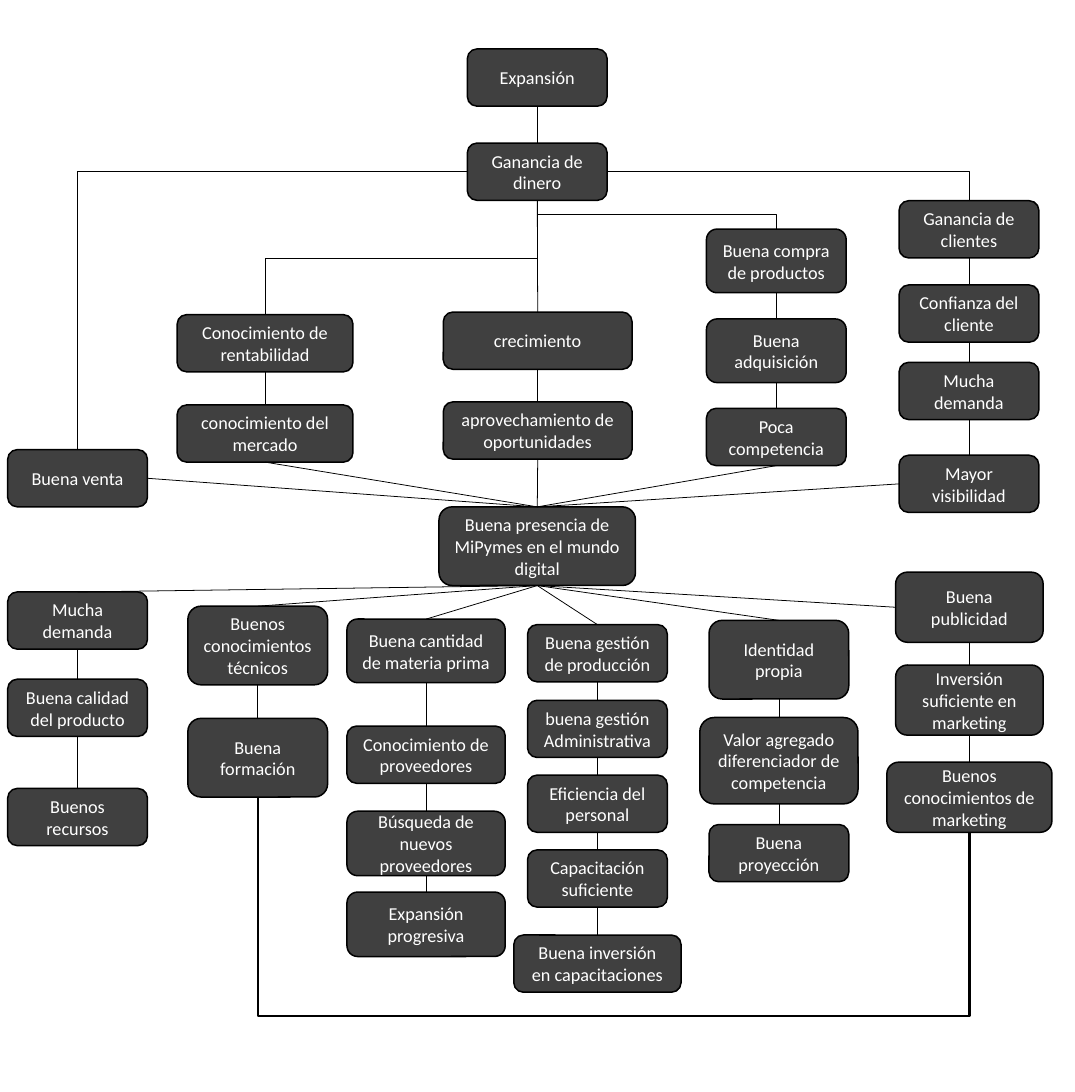
from dataclasses import dataclass

from lxml import etree
from pptx import Presentation
from pptx.dml.color import RGBColor
from pptx.enum.shapes import MSO_CONNECTOR, MSO_SHAPE
from pptx.enum.text import MSO_ANCHOR, PP_ALIGN
from pptx.oxml.ns import qn
from pptx.util import Cm, Pt

ROUND = MSO_SHAPE.ROUNDED_RECTANGLE
LINE, ELBOW = MSO_CONNECTOR.STRAIGHT, MSO_CONNECTOR.ELBOW
MIDDLE, CENTER = MSO_ANCHOR.MIDDLE, PP_ALIGN.CENTER
TOP, LEFT, BOTTOM, RIGHT = range(4)


@dataclass(frozen=True)
class Theme:
    fill: RGBColor = RGBColor(0x40, 0x40, 0x40)
    line: RGBColor = RGBColor(0, 0, 0)
    text: RGBColor = RGBColor(255, 255, 255)
    font: str = "Calibri"
    size: Pt = Pt(12)
    edge: Pt = Pt(1)
    thin: Pt = Pt(0.5)
    thick: Pt = Pt(1.5)


THEME = Theme()


def add_node(slide, box, text):
    node = slide.shapes.add_shape(ROUND, *map(Cm, box))
    node.shadow.inherit = False
    node.fill.solid()
    node.fill.fore_color.rgb = THEME.fill
    node.line.color.rgb = THEME.line
    node.line.width = THEME.edge
    frame = node.text_frame
    frame.word_wrap = True
    frame.vertical_anchor = MIDDLE
    para = frame.paragraphs[0]
    para.text = text
    para.alignment = CENTER
    para.font.name = THEME.font
    para.font.size = THEME.size
    para.font.color.rgb = THEME.text
    return node


def add_link(slide, start, end, kind=LINE, width=THEME.thin):
    link = slide.shapes.add_connector(kind, 0, 0, 0, 0)
    link.begin_connect(*start)
    link.end_connect(*end)
    link.line.color.rgb = THEME.line
    link.line.width = width
    etree.SubElement(link._element.spPr, qn("a:effectLst"))
    return link


def add_corner(slide, start, end):
    link = add_link(slide, start, end, ELBOW)
    link._element.spPr.find(qn("a:prstGeom")).set("prst", "bentConnector2")


def add_step(slide, start, end, bend, width=THEME.thin):
    link = add_link(slide, start, end, ELBOW, width)
    x1, y1, x2, y2 = link.begin_x, link.begin_y, link.end_x, link.end_y
    wide, high = abs(y2 - y1), abs(x2 - x1)
    link.left, link.top = (x1 + x2 - wide) // 2, (y1 + y2 - high) // 2
    link.width, link.height = wide, high
    props = link._element.spPr
    frame = props.find(qn("a:xfrm"))
    frame.attrib.pop("flipH", None)
    frame.set("rot", "5400000")
    frame.set("flipV", "1" if x2 > x1 else "0")
    guides = props.find(qn("a:prstGeom")).get_or_add_avLst()
    ratio = round(Cm(bend) / wide * 100000)
    etree.SubElement(guides, qn("a:gd"), name="adj1", fmla=f"val {ratio}")


def add_stack(slide, box, rows):
    left, top, width, height = box
    nodes = []
    for text, gap, *size in rows:
        high, wide = (*size, *(height, width)[len(size):])
        top += gap
        node = add_node(slide, (left + (width - wide) / 2, top, wide, high), text)
        if nodes:
            add_link(slide, (nodes[-1], BOTTOM), (node, TOP))
        nodes.append(node)
        top += high
    return nodes


def add_effects(slide, box, hub):
    left, top, width, height = box
    mid = left + width / 2

    def stack(x, y, wide, rows, high=1.33):
        return add_stack(slide, (left + x, top + y, wide, high), rows)

    goal = stack(mid - left - 1.63, 0, 3.25, [
        ("Expansión", 0), ("Ganancia de dinero", 0.86)])[-1]
    sale = stack(0, 9.32, 3.25, [("Buena venta", 0)])
    market = stack(3.94, 6.18, 4.09, [
        ("Conocimiento de rentabilidad", 0), ("conocimiento del mercado", 0.77)])
    growth = stack(10.13, 6.12, 4.39, [
        ("crecimiento", 0), ("aprovechamiento de oportunidades", 0.76)])
    buying = stack(16.25, 4.19, 3.25, [
        ("Buena compra de productos", 0), ("Buena adquisición", 0.61),
        ("Poca competencia", 0.6, 1.33)], 1.48)
    clients = stack(20.73, 3.53, 3.25, [
        ("Ganancia de clientes", 0), ("Confianza del cliente", 0.63),
        ("Mucha demanda", 0.47), ("Mayor visibilidad", 0.83)])

    for nodes, side in ((sale, RIGHT), (market, BOTTOM), (growth, BOTTOM),
                        (buying, BOTTOM), (clients, LEFT)):
        add_link(slide, (hub, TOP), (nodes[-1], side))
    add_link(slide, (goal, BOTTOM), (growth[0], TOP))
    add_corner(slide, (goal, LEFT), (sale[0], TOP))
    add_corner(slide, (goal, RIGHT), (clients[0], TOP))
    add_step(slide, (goal, BOTTOM), (market[0], TOP), 1.34)
    add_step(slide, (goal, BOTTOM), (buying[0], TOP), 0.34)


def add_causes(slide, box, hub):
    left, top, width, height = box

    def stack(x, y, wide, rows, high=1.33):
        return add_stack(slide, (left + x, top + y, wide, high), rows)

    goods = stack(0, 0.46, 3.25, [
        ("Mucha demanda", 0), ("Buena calidad del producto", 0.7),
        ("Buenos recursos", 1.21)])
    skills = stack(4.19, 0.79, 3.25, [
        ("Buenos conocimientos técnicos", 0), ("Buena formación", 0.78)], 1.83)
    supply = stack(7.89, 1.09, 3.68, [
        ("Buena cantidad de materia prima", 0, 1.48),
        ("Conocimiento de proveedores", 1.01),
        ("Búsqueda de nuevos proveedores", 0.65, 1.5),
        ("Expansión progresiva", 0.38, 1.5)])
    staff = stack(12.09, 1.22, 3.25, [
        ("Buena gestión de producción", 0), ("buena gestión Administrativa", 0.43),
        ("Eficiencia del personal", 0.41), ("Capacitación suficiente", 0.41),
        ("Buena inversión en capacitaciones", 0.65, 1.33, 3.89)])
    brand = stack(16.31, 1.12, 3.25, [
        ("Identidad propia", 0, 1.83),
        ("Valor agregado diferenciador de competencia", 0.43, 2.01, 3.68),
        ("Buena proyección", 0.48)])
    adverts = stack(20.65, 0, 3.43, [
        ("Buena publicidad", 0), ("Inversión suficiente en marketing", 0.53),
        ("Buenos conocimientos de marketing", 0.63, 1.63, 3.84)], 1.63)

    for nodes in (goods, skills, supply, staff, brand):
        add_link(slide, (hub, BOTTOM), (nodes[0], TOP))
    add_link(slide, (hub, BOTTOM), (adverts[0], LEFT))
    add_step(slide, (skills[-1], BOTTOM), (adverts[-1], BOTTOM), 5.1, THEME.thick)


def main():
    deck = Presentation()
    deck.slide_width, deck.slide_height = Cm(25), Cm(25.4)
    slide = deck.slides.add_slide(deck.slide_layouts[6])
    hub = add_node(slide, (10.21, 11.79, 4.57, 1.83),
                   "Buena presencia de MiPymes en el mundo digital")
    add_effects(slide, (0.18, 1.14, 24.64, 10.65), hub)
    add_causes(slide, (0.18, 13.31, 24.64, 10.34), hub)
    deck.save("out.pptx")


if __name__ == "__main__":
    main()
